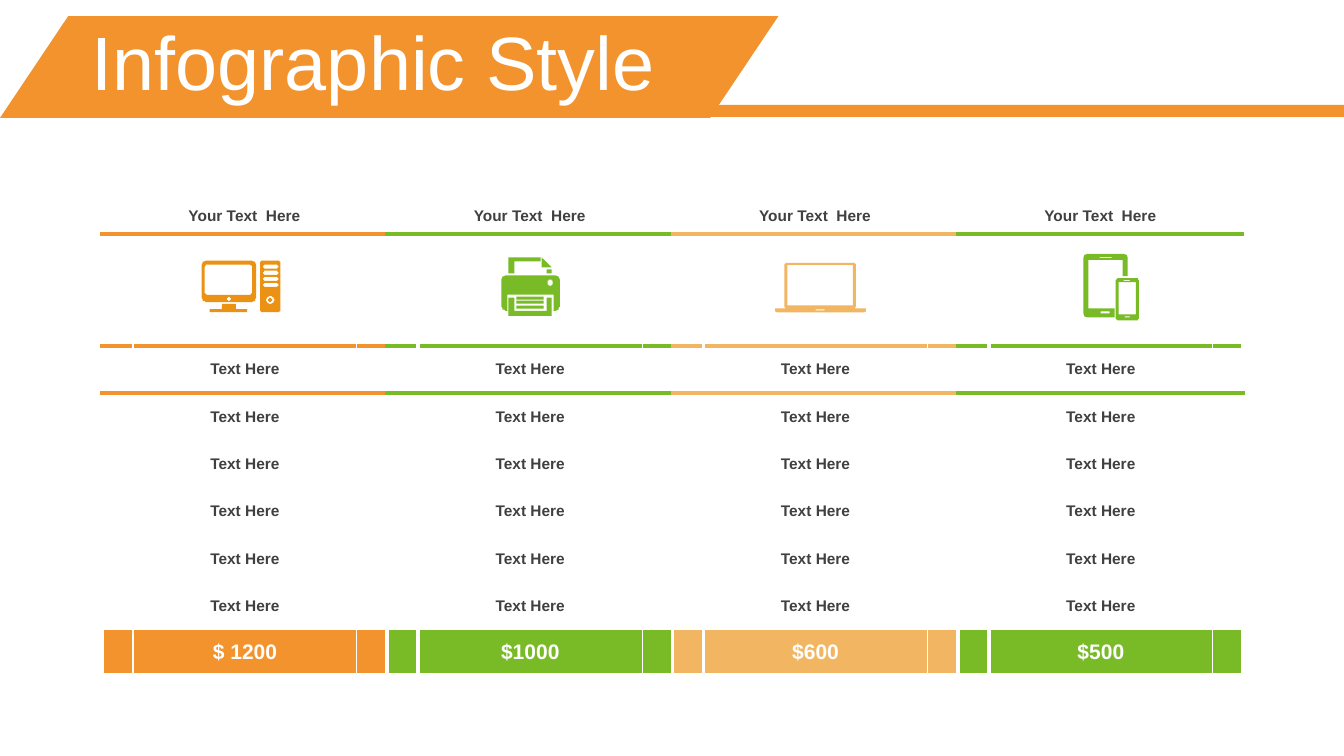
from math import cos, pi, sin

from lxml.etree import SubElement as Sub
from pptx import Presentation
from pptx.dml.color import RGBColor as RGB
from pptx.enum.shapes import MSO_SHAPE as Kind
from pptx.enum.text import MSO_ANCHOR as Anchor, MSO_AUTO_SIZE as Auto, PP_ALIGN as Align
from pptx.oxml.ns import qn
from pptx.util import Inches, Pt

HUES = {
    "orange": "F3932D",
    "amber": "EB9214",
    "green": "79BA27",
    "sand": "F2B662",
    "white": "FFFFFF",
    "dark": "404040",
}
WIDE, HIGH = 13.33, 7.5
LEFT, TOP = 1.01, 1.96
PARTS = [0.31, 2.22, 0.3]
COL = sum(PARTS)
ROWS = [0.36, 1.11] + [0.47] * 6 + [0.45]
LAST = len(ROWS) - 1
UNIT = Inches(0.01)
PLANS = [("orange", "$ 1200"), ("green", "$1000"), ("sand", "$600"), ("green", "$500")]


def hue(name):
    return RGB.from_string(HUES[name])


def paint(shape, name):
    shape.shadow.inherit = False
    shape.fill.solid()
    shape.fill.fore_color.rgb = hue(name)
    shape.line.fill.background()


def style(para, size, name, bold=False):
    font = para.font
    font.name, font.size, font.bold = "Arial", Pt(size), bold
    font.color.rgb = hue(name)


def band(slide, kind, x, y, w, h):
    shape = slide.shapes.add_shape(kind, Inches(x), Inches(y), Inches(w), Inches(h))
    paint(shape, "orange")
    slide.shapes.title.element.addprevious(shape.element)
    return shape


def header(slide, text):
    band(slide, Kind.RECTANGLE, WIDE / 2, 1.04, WIDE / 2, 0.12)
    slant = band(slide, Kind.PARALLELOGRAM, 0, 0.16, 7.72, 1.01)
    slant.adjustments[0] = 0.67
    title = slide.shapes.title
    title.left, title.top = Inches(0.81), Inches(0.26)
    title.width, title.height = Inches(12.24), Inches(0.79)
    frame = title.text_frame
    frame.text = text
    frame.auto_size = Auto.NONE
    frame.vertical_anchor = Anchor.MIDDLE
    para = frame.paragraphs[0]
    para.alignment = Align.LEFT
    para.line_spacing, para.space_before = 0.9, Pt(10)
    style(para, 54, "white")


def edge(cell, side, name):
    line = Sub(cell._tc.get_or_add_tcPr(), qn("a:ln" + side), w=str(Pt(3)))
    fill = Sub(line, qn("a:solidFill"))
    Sub(fill, qn("a:srgbClr"), val=HUES[name])


def dress(cell, row, part, name):
    if part == 0:
        edge(cell, "L", "white")
    if part == 2:
        edge(cell, "R", "white")
    if row in (0, 1, 2):
        edge(cell, "T", name if row else "white")
    if row in (0, 1, LAST):
        edge(cell, "B", "white" if row == LAST else name)
    cell.fill.solid()
    cell.fill.fore_color.rgb = hue(name if row == LAST else "white")
    cell.vertical_anchor = Anchor.MIDDLE
    para = cell.text_frame.paragraphs[0]
    para.alignment = Align.CENTER
    if row == LAST:
        style(para, 15, "white", True)
    else:
        style(para, 11, "dark", True)


def prices(slide):
    wides = PARTS * len(PLANS)
    frame = slide.shapes.add_table(
        len(ROWS), len(wides), Inches(LEFT), Inches(TOP),
        Inches(sum(wides)), Inches(sum(ROWS)))
    table = frame.table
    table.first_row = table.horz_banding = False
    for col, wide in zip(table.columns, wides):
        col.width = Inches(wide)
    for line, high in zip(table.rows, ROWS):
        line.height = Inches(high)
    for plan, (name, price) in enumerate(PLANS):
        first = plan * len(PARTS)
        words = ["Your Text  Here", ""] + ["Text Here"] * 6 + [price]
        for row, text in enumerate(words):
            cells = [table.cell(row, first + part) for part in range(len(PARTS))]
            cells[0 if row < 2 else 1].text = text
            for part, cell in enumerate(cells):
                dress(cell, row, part, name)
            if row < 2:
                cells[0].merge(cells[-1])


def box(l, t, r, b, rad=0):
    if not rad:
        return [(l, t), (r, t), (r, b), (l, b)]
    hubs = [(r - rad, b - rad), (l + rad, b - rad), (l + rad, t + rad), (r - rad, t + rad)]
    return [
        (x + rad * cos((turn + step / 6) * pi / 2), y + rad * sin((turn + step / 6) * pi / 2))
        for turn, (x, y) in enumerate(hubs) for step in range(7)
    ]


def icon(slide, plan, across, down, name, loops):
    pen = slide.shapes.build_freeform(*loops[0][0], scale=UNIT)
    for count, loop in enumerate(loops):
        if count:
            pen.move_to(*loop[0])
        pen.add_line_segments(loop[1:], close=True)
    x = LEFT + (plan + across) * COL
    y = TOP + ROWS[0] + down * ROWS[1]
    paint(pen.convert_to_shape(Inches(x), Inches(y)), name)


def desktop():
    slots = [box(61, y, 76, y + 4, 2) for y in range(4, 28, 6)]
    return [
        box(0, 0, 54, 41, 5), box(3, 4, 50, 34, 3), box(25, 36, 29, 40, 2),
        box(20, 43, 34, 48), box(8, 48, 45, 51, 1),
        box(58, 0, 78, 51, 2), box(64, 35, 72, 43, 4), box(66, 37, 70, 41, 2),
    ] + slots


def printer():
    tray = [(7, 40), (13, 40), (13, 53), (45, 53), (45, 40), (50, 40), (50, 58), (7, 58)]
    sheet = [(7, 0), (39, 0), (39, 4), (13, 4), (13, 16), (7, 16)]
    fold = [(40, 0), (50, 10), (40, 10)]
    lines = [box(15, y, 42, y + 3, 1) for y in (39, 43, 48)]
    return [
        box(0, 18, 58, 53, 5), box(6, 37, 52, 53), box(46, 22, 51, 28, 2.5),
        box(45, 12, 50, 16), tray, sheet, fold,
    ] + lines


def laptop():
    base = [(0, 45), (90, 45), (90, 48), (88, 49), (2, 49), (0, 48)]
    return [box(9, 0, 80, 45, 2), box(12, 2, 77, 42), base, box(40, 46, 49, 47)]


def mobile():
    tablet = [
        (4, 0), (40, 0), (43, 1), (44, 4), (44, 22), (39, 22), (39, 6), (5, 6),
        (5, 54), (31, 54), (31, 63), (4, 63), (1, 62), (0, 59), (0, 4), (1, 1),
    ]
    return [
        tablet, box(16, 3, 28, 4), box(17, 57, 26, 59, 1),
        box(32, 24, 55, 66, 3), box(35, 28, 52, 60),
        box(40, 26, 46, 27), box(41, 62, 46, 63),
    ]


def main():
    deck = Presentation()
    deck.slide_width, deck.slide_height = Inches(WIDE), Inches(HIGH)
    slide = deck.slides.add_slide(deck.slide_layouts[5])
    header(slide, "Infographic Style")
    prices(slide)
    icon(slide, 0, 0.35, 0.24, "amber", desktop())
    icon(slide, 1, 0.4, 0.21, "green", printer())
    icon(slide, 2, 0.36, 0.26, "sand", laptop())
    icon(slide, 3, 0.44, 0.18, "green", mobile())
    deck.save("out.pptx")


if __name__ == "__main__":
    main()
